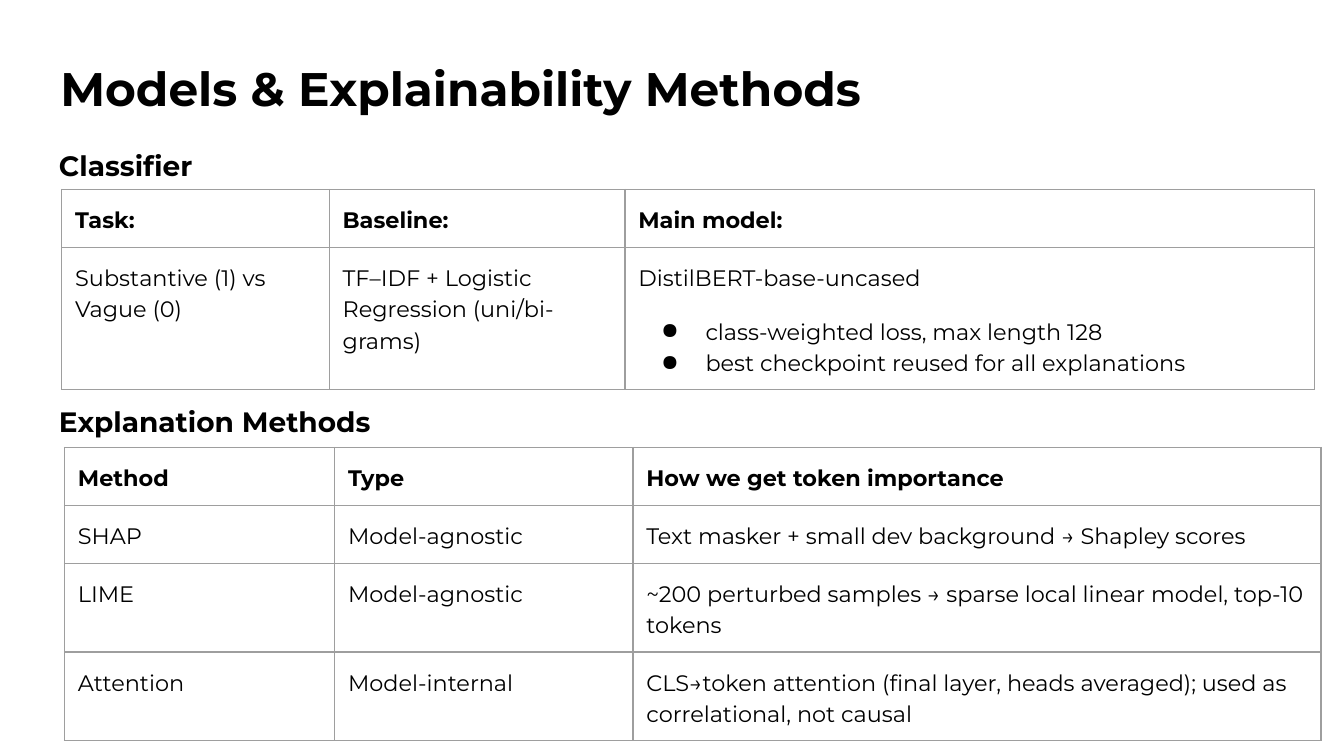
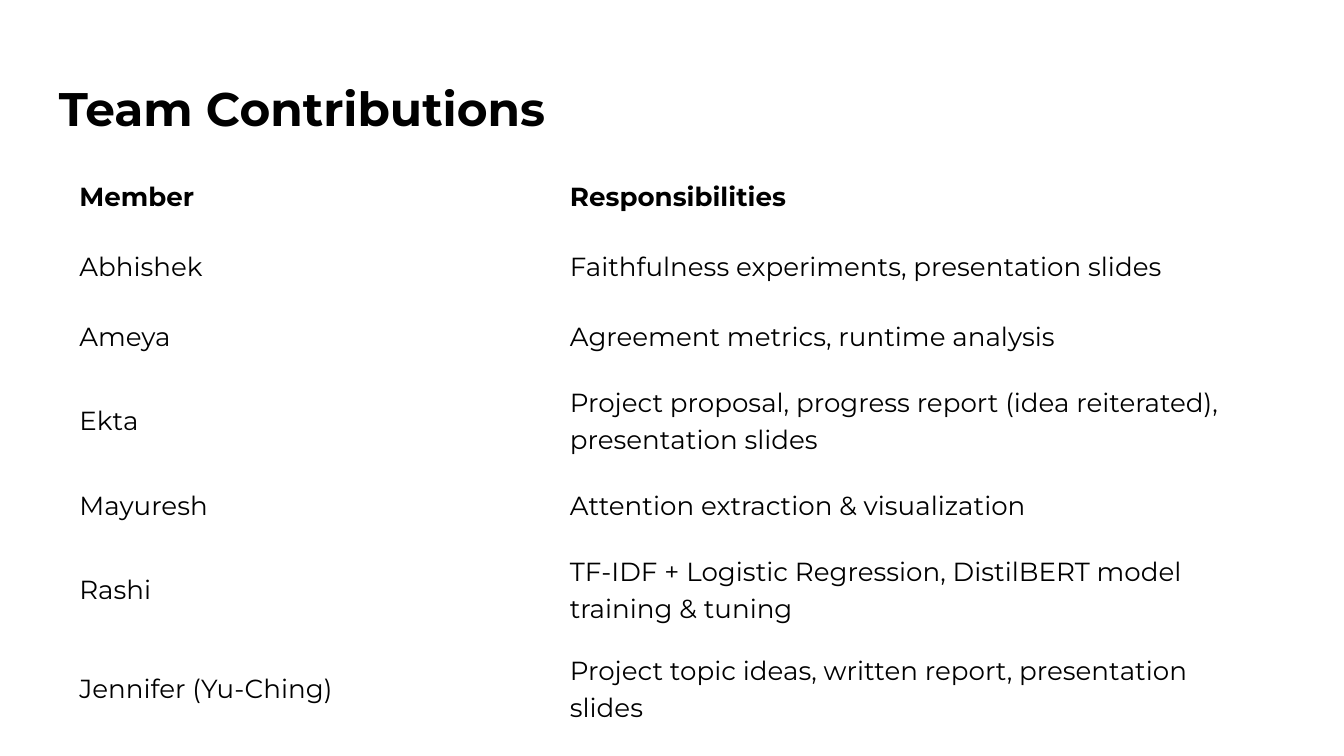
"""Build two slides: model and explanation methods, and team contributions."""
from lxml import etree
from pptx import Presentation
from pptx.dml.color import RGBColor
from pptx.enum.text import MSO_ANCHOR
from pptx.oxml.ns import qn
from pptx.util import Inches, Pt

TOP, MIDDLE = MSO_ANCHOR.TOP, MSO_ANCHOR.MIDDLE
COLORS = {"text": "000000", "rule": "9E9E9E", "paper": "FFFFFF"}
FONT = "Montserrat"
GRID_COLUMNS, GRID_ROWS = 100, 56.25
SLIDE_WIDTH = Inches(10)
UNIT = SLIDE_WIDTH / GRID_COLUMNS
MARGIN = 3.4
INSET = Inches(0.1)
LINE_SPACING = 1.15
BULLET = "● "

CLASSIFIER = [
    ["Task:", "Baseline:", "Main model:"],
    ["Substantive (1) vs Vague (0)",
     "TF–IDF + Logistic Regression (uni/bi-grams)",
     "DistilBERT-base-uncased\n"
     "● class-weighted loss, max length 128\n"
     "● best checkpoint reused for all explanations"],
]
METHODS = [
    ["Method", "Type", "How we get token importance"],
    ["SHAP", "Model-agnostic",
     "Text masker + small dev background → Shapley scores"],
    ["LIME", "Model-agnostic",
     "~200 perturbed samples → sparse local linear model, top-10 tokens"],
    ["Attention", "Model-internal",
     "CLS→token attention (final layer, heads averaged); "
     "used as correlational, not causal"],
]
TEAM = [
    ["Member", "Responsibilities"],
    ["Abhishek", "Faithfulness experiments, presentation slides"],
    ["Ameya", "Agreement metrics, runtime analysis"],
    ["Ekta", "Project proposal, progress report (idea reiterated), "
             "presentation slides"],
    ["Mayuresh", "Attention extraction & visualization"],
    ["Rashi", "TF-IDF + Logistic Regression, DistilBERT model "
              "training & tuning"],
    ["Jennifer (Yu-Ching)", "Project topic ideas, written report, "
                            "presentation slides"],
]


def grid(cells):
    """Convert a count of grid units to a length."""
    return round(cells * UNIT)


def style_font(paragraph, size, bold):
    """Apply the shared typeface and colour to a paragraph."""
    font = paragraph.font
    font.name, font.size, font.bold = FONT, Pt(size), bold
    font.color.rgb = RGBColor.from_string(COLORS["text"])


def add_solid_color(parent, tag, color):
    """Append an element that holds one RGB colour."""
    holder = etree.SubElement(parent, qn(tag))
    etree.SubElement(holder, qn("a:srgbClr"), val=COLORS[color])


def add_bullet(paragraph):
    """Give a paragraph a hanging round bullet."""
    properties = paragraph._p.get_or_add_pPr()
    properties.set("marL", str(Inches(0.5)))
    properties.set("indent", str(-Inches(0.33)))
    add_solid_color(properties, "a:buClr", "text")
    etree.SubElement(properties, qn("a:buChar"), char=BULLET.strip())


def add_line_of_text(slide, text, left, top, height, size, spacing):
    """Add a bold single-line text box."""
    box = slide.shapes.add_textbox(grid(left), grid(top), grid(93.2), grid(height))
    frame = box.text_frame
    frame.word_wrap = True
    frame.margin_left = frame.margin_right = INSET
    frame.margin_top = frame.margin_bottom = INSET
    paragraph = frame.paragraphs[0]
    paragraph.text = text
    paragraph.line_spacing = spacing
    style_font(paragraph, size, True)


def add_title(slide, text, top, left=MARGIN):
    """Add the slide title."""
    add_line_of_text(slide, text, left, top, 6.3, 25.2, 1.0)


def add_heading(slide, text, top):
    """Add a heading above a table."""
    add_line_of_text(slide, text, MARGIN, top, 3.7, 15, LINE_SPACING)


def draw_borders(cell, color):
    """Draw a thin border on all four sides of a cell."""
    properties = cell._tc.get_or_add_tcPr()
    for side in ("a:lnL", "a:lnR", "a:lnT", "a:lnB"):
        border = etree.SubElement(properties, qn(side), w=str(Pt(0.75)))
        add_solid_color(border, "a:solidFill", color)


def fill_cell(cell, text, size, bold, space_after, anchor):
    """Write the paragraphs of a cell, with bullets where marked."""
    cell.margin_left = cell.margin_right = INSET
    cell.margin_top = cell.margin_bottom = INSET
    cell.vertical_anchor = anchor
    lines = text.split("\n")
    cell.text = "\n".join(line.removeprefix(BULLET) for line in lines)
    in_list = False
    for line, paragraph in zip(lines, cell.text_frame.paragraphs):
        paragraph.line_spacing = LINE_SPACING
        paragraph.space_before = Pt(0)
        paragraph.space_after = Pt(space_after if len(lines) == 1 else 0)
        if line.startswith(BULLET):
            if not in_list:
                paragraph.space_before = Pt(space_after)
            add_bullet(paragraph)
            in_list = True
        style_font(paragraph, size, bold)


def add_grid_table(slide, content, left, top, widths, heights, size=12,
                   space_after=12, border="rule", anchor=TOP):
    """Add a bordered table with a bold first row."""
    table = slide.shapes.add_table(
        len(content), len(widths), grid(left), grid(top),
        grid(sum(widths)), grid(sum(heights))).table
    table.first_row = table.horz_banding = False
    for column, width in zip(table.columns, widths):
        column.width = grid(width)
    for row, height in zip(table.rows, heights):
        row.height = grid(height)
    for row_number, texts in enumerate(content):
        for column_number, text in enumerate(texts):
            cell = table.cell(row_number, column_number)
            fill_cell(cell, text, size, row_number == 0, space_after, anchor)
            draw_borders(cell, border)
            cell.fill.background()


def add_blank_slide(deck):
    """Add an empty slide on plain paper."""
    slide = deck.slides.add_slide(deck.slide_layouts[6])
    slide.background.fill.solid()
    slide.background.fill.fore_color.rgb = RGBColor.from_string(COLORS["paper"])
    return slide


def build_models_slide(deck):
    """Show the classifier and the explanation methods."""
    slide = add_blank_slide(deck)
    add_title(slide, "Models & Explainability Methods", 3.4, left=3.5)
    add_heading(slide, "Classifier", 9.7)
    add_grid_table(slide, CLASSIFIER, 4.6, 14.1, [19.9, 22, 51.3], [3.5, 9])
    add_heading(slide, "Explanation Methods", 28.7)
    add_grid_table(slide, METHODS, 4.8, 33.3, [20.1, 22.2, 51.2],
                   [2.9, 4, 4.6, 4.6])


def build_team_slide(deck):
    """Show who did what."""
    slide = add_blank_slide(deck)
    add_title(slide, "Team Contributions", 4.9)
    single, double = 5.2, 6.9
    add_grid_table(slide, TEAM, 4.9, 11.9, [36.5, 51.1],
                   [single, single, single, double, single, single, double],
                   size=14, space_after=8, border="paper", anchor=MIDDLE)


def main():
    """Build and save the deck."""
    deck = Presentation()
    deck.slide_width, deck.slide_height = SLIDE_WIDTH, grid(GRID_ROWS)
    build_models_slide(deck)
    build_team_slide(deck)
    deck.save("out.pptx")


if __name__ == "__main__":
    main()
